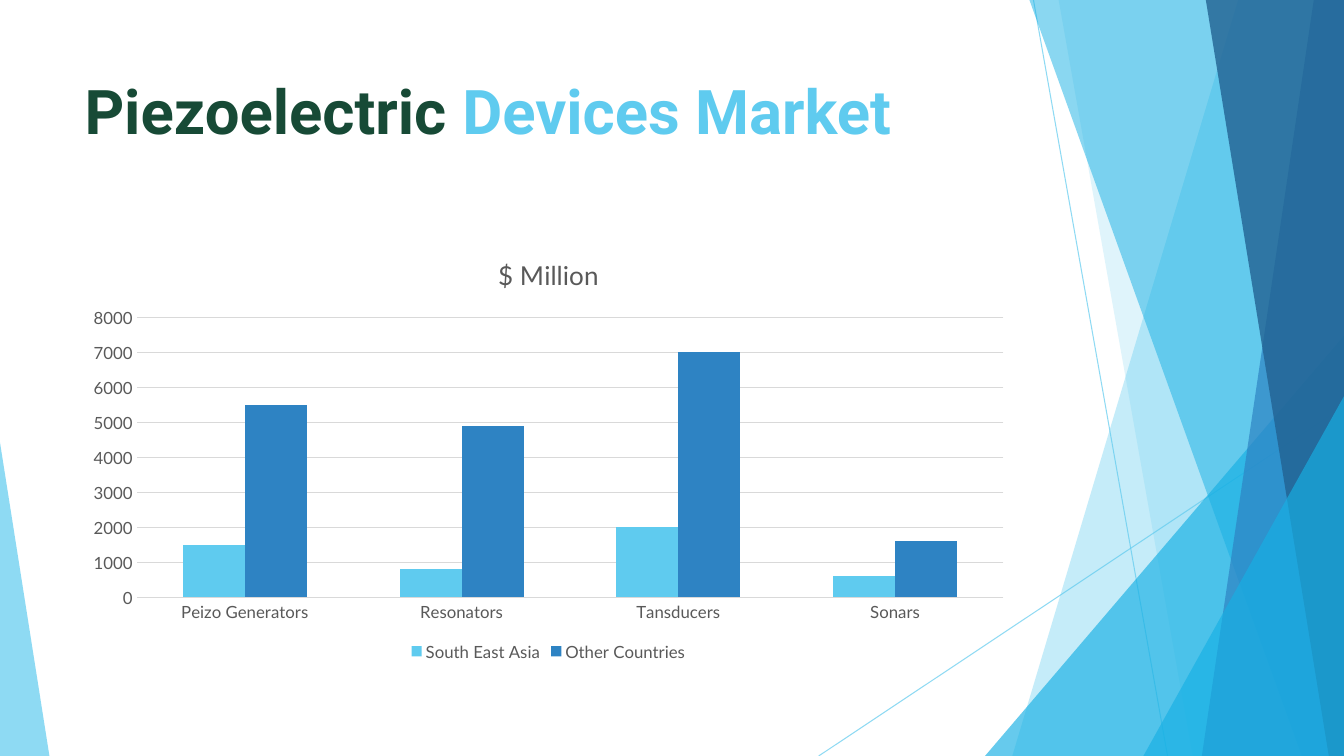
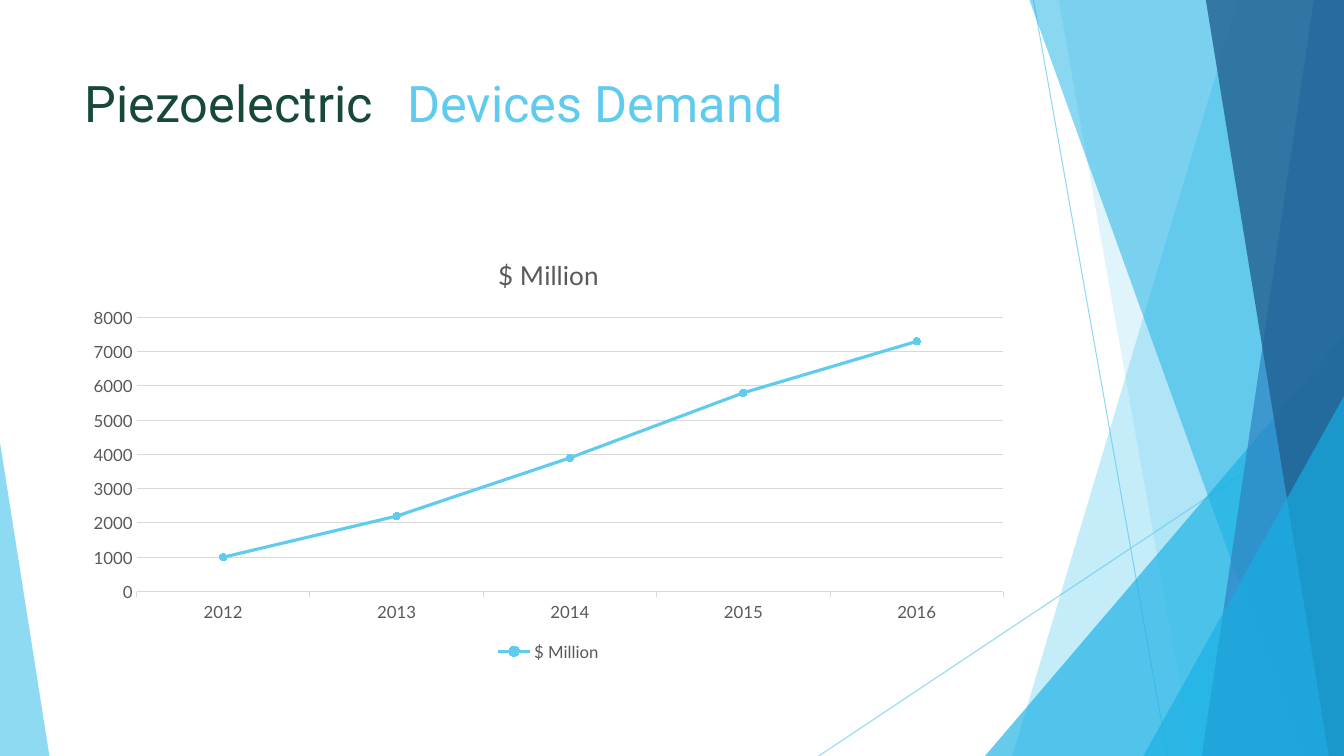
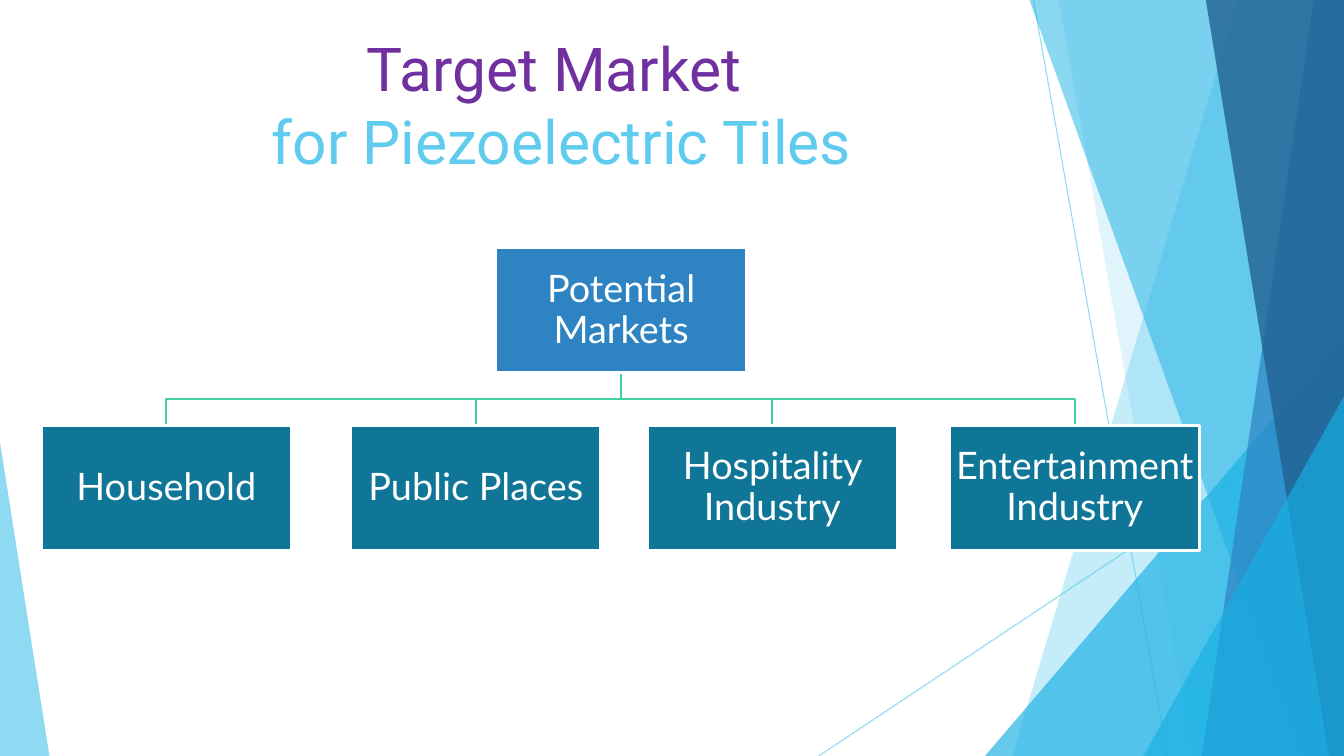
from lxml import etree
from pptx import Presentation
from pptx.chart.data import CategoryChartData
from pptx.dml.color import RGBColor
from pptx.enum import chart as ch, shapes, text
from pptx.oxml.ns import qn
from pptx.util import Inches, Pt

SKY = RGBColor(0x5F, 0xCB, 0xEF)
CYAN = RGBColor(0x17, 0xB0, 0xE4)
BLUE = RGBColor(0x2E, 0x83, 0xC3)
NAVY = RGBColor(0x22, 0x62, 0x92)
TEAL = RGBColor(0x0F, 0x76, 0x98)
MINT = RGBColor(0x42, 0xD0, 0xA2)
GREEN = RGBColor(0x17, 0x4A, 0x36)
PURPLE = RGBColor(0x70, 0x30, 0xA0)
GREY = RGBColor(0x59, 0x59, 0x59)
GRID = RGBColor(0xD9, 0xD9, 0xD9)
WHITE = RGBColor(0xFF, 0xFF, 0xFF)

HEAD_FONT, BODY_FONT = "Roboto", "Lato"
WIDTH, HEIGHT = 13.33, 7.5
CONTENT_LEFT, CONTENT_WIDTH = 0.74, 9.4
BOX_W, BOX_H = 2.48, 1.24


def set_opacity(sp, percent):
    for clr in sp.element.spPr.iter(qn("a:srgbClr")):
        etree.SubElement(clr, qn("a:alpha"), val=str(percent * 1000))


def fill_plain(sp, color, opacity):
    sp.shadow.inherit = False
    sp.fill.solid()
    sp.fill.fore_color.rgb = color
    sp.line.fill.background()
    set_opacity(sp, opacity)


def add_polyline(s, points, close):
    pts = [(Inches(x), Inches(y)) for x, y in points]
    builder = s.shapes.build_freeform(*pts[0])
    builder.add_line_segments(pts[1:], close=close)
    return builder.convert_to_shape()


def add_ray(s, x1, y1, x2, y2):
    line = s.shapes.add_connector(shapes.MSO_CONNECTOR.STRAIGHT,
                                  Inches(x1), Inches(y1), Inches(x2), Inches(y2))
    line.line.color.rgb = SKY
    line.line.width = Pt(0.75)
    set_opacity(line, 70)
    etree.SubElement(line.element.spPr, qn("a:effectLst"))


def add_band(s, top_x, bottom_x, color, opacity):
    """Full-height band from a slanted left edge to the slide's right edge."""
    corners = [(top_x, 0), (WIDTH, 0), (WIDTH, HEIGHT), (bottom_x, HEIGHT)]
    fill_plain(add_polyline(s, corners, True), color, opacity)


def add_corner(s, left, top, width, apex, color, opacity):
    """Right triangle standing on the bottom edge; apex 0 is left, 1 is right."""
    sp = s.shapes.add_shape(shapes.MSO_SHAPE.ISOSCELES_TRIANGLE, Inches(left),
                            Inches(top), Inches(width), Inches(HEIGHT - top))
    sp.adjustments[0] = apex
    fill_plain(sp, color, opacity)


def add_facets(s):
    add_ray(s, 10.25, 0, 11.58, HEIGHT)
    add_ray(s, WIDTH, 4.03, 8.12, HEIGHT)
    add_band(s, 12.28, 10.04, SKY, 36)
    add_band(s, 10.5, 11.83, SKY, 20)
    add_corner(s, 9.77, 3.33, 3.56, 1, CYAN, 66)
    add_band(s, 10.21, 12.91, CYAN, 50)
    add_band(s, 13.03, 11.92, BLUE, 70)
    add_band(s, 11.96, 13.18, NAVY, 80)
    add_corner(s, 11.34, 3.93, 1.99, 1, CYAN, 66)
    add_corner(s, 0, 4.39, 0.49, 0, SKY, 70)


def add_slide(prs):
    s = prs.slides.add_slide(prs.slide_layouts[6])
    add_facets(s)
    return s


def add_title(s, first, second, color, size, box=(CONTENT_LEFT, 0.67, CONTENT_WIDTH, 1.44),
              bold=False, two_lines=False, tab=None):
    """Two-colour title; tab is the stop, in inches, for the second part."""
    tf = s.shapes.add_textbox(*map(Inches, box)).text_frame
    tf.word_wrap = True
    tf.vertical_anchor = text.MSO_ANCHOR.TOP
    p = tf.paragraphs[0]
    p.font.name, p.font.size, p.font.bold = HEAD_FONT, Pt(size), bold
    for part, part_color in ((first, color), (second, SKY)):
        r = p.add_run()
        r.text = part
        r.font.color.rgb = part_color
        if two_lines and part == first:
            p.add_line_break()
    if two_lines:
        p.alignment = text.PP_ALIGN.CENTER
    if tab:
        stops = etree.Element(qn("a:tabLst"))
        etree.SubElement(stops, qn("a:tab"), pos=str(Inches(tab)), algn="l")
        p.font._element.addprevious(stops)


def style_font(font, size):
    font.name, font.size, font.bold = BODY_FONT, Pt(size), False
    font.color.rgb = GREY


def add_chart(s, kind, cats, series):
    data = CategoryChartData()
    data.categories = cats
    for name, vals in series:
        data.add_series(name, vals)
    chart = s.shapes.add_chart(kind, Inches(CONTENT_LEFT), Inches(2.36),
                               Inches(CONTENT_WIDTH), Inches(4.24), data).chart
    style_font(chart.font, 12)
    chart.has_title = True
    tf = chart.chart_title.text_frame
    tf.text = "$ Million"
    style_font(tf.paragraphs[0].font, 18.6)
    chart.has_legend = True
    chart.legend.position = ch.XL_LEGEND_POSITION.BOTTOM
    chart.legend.include_in_layout = False
    style_font(chart.legend.font, 12)
    for axis in (chart.category_axis, chart.value_axis):
        style_font(axis.tick_labels.font, 12)
        axis.major_tick_mark = ch.XL_TICK_MARK.NONE
        axis.format.line.fill.background()
    axis = chart.value_axis
    axis.minimum_scale, axis.maximum_scale, axis.major_unit = 0, 8000, 1000
    axis.major_gridlines.format.line.color.rgb = GRID
    axis.major_gridlines.format.line.width = Pt(0.75)
    chart.plots[0].vary_by_categories = False
    return chart


def add_column_chart(s, cats, series, colors):
    plot = add_chart(s, ch.XL_CHART_TYPE.COLUMN_CLUSTERED, cats, series).plots[0]
    plot.gap_width, plot.overlap = 150, 0
    for ser, color in zip(plot.series, colors):
        ser.format.fill.solid()
        ser.format.fill.fore_color.rgb = color


def add_line_chart(s, cats, series):
    chart = add_chart(s, ch.XL_CHART_TYPE.LINE_MARKERS_STACKED, cats, series)
    axis = chart.category_axis
    axis.major_tick_mark = ch.XL_TICK_MARK.OUTSIDE
    axis.format.line.color.rgb = GRID
    axis.format.line.width = Pt(0.75)
    for ser in chart.plots[0].series:
        ser.smooth = False
        ser.format.line.color.rgb = SKY
        ser.format.line.width = Pt(2.25)
        ser.marker.style, ser.marker.size = ch.XL_MARKER_STYLE.CIRCLE, 5
        ser.marker.format.fill.solid()
        ser.marker.format.fill.fore_color.rgb = SKY
        ser.marker.format.line.color.rgb = SKY


def add_box(s, label, left, top, color):
    sp = s.shapes.add_shape(shapes.MSO_SHAPE.RECTANGLE, Inches(left), Inches(top),
                            Inches(BOX_W), Inches(BOX_H))
    sp.shadow.inherit = False
    sp.fill.solid()
    sp.fill.fore_color.rgb = color
    sp.line.color.rgb = WHITE
    sp.line.width = Pt(2)
    tf = sp.text_frame
    tf.word_wrap = True
    tf.vertical_anchor = text.MSO_ANCHOR.MIDDLE
    tf.margin_left = tf.margin_right = tf.margin_top = tf.margin_bottom = Inches(0.02)
    p = tf.paragraphs[0]
    p.text = label
    p.alignment = text.PP_ALIGN.CENTER
    p.line_spacing = 0.9
    p.font.name, p.font.size = BODY_FONT, Pt(27)
    p.font.color.rgb = WHITE


def add_tree(s, root, root_left, root_top, children, child_top):
    """Root box joined by elbow lines to children given as (label, left)."""
    root_x, root_bottom = root_left + BOX_W / 2, root_top + BOX_H
    middle = (root_bottom + child_top) / 2
    for _, left in children:
        x = left + BOX_W / 2
        elbow = add_polyline(s, [(root_x, root_bottom), (root_x, middle),
                                 (x, middle), (x, child_top)], False)
        elbow.shadow.inherit = False
        elbow.fill.background()
        elbow.line.color.rgb = MINT
        elbow.line.width = Pt(1.5)
    add_box(s, root, root_left, root_top, BLUE)
    for label, left in children:
        add_box(s, label, left, child_top, TEAL)


def main():
    prs = Presentation()
    prs.slide_width, prs.slide_height = Inches(WIDTH), Inches(HEIGHT)

    s = add_slide(prs)
    add_title(s, "Piezoelectric ", "Devices Market", GREEN, 44, bold=True)
    add_column_chart(s, ["Peizo Generators", "Resonators", "Tansducers", "Sonars"],
                     [("South East Asia", (1500, 800, 2000, 600)),
                      ("Other Countries", (5500, 4900, 7000, 1600))], (SKY, BLUE))

    s = add_slide(prs)
    add_title(s, "Piezoelectric\t", "Devices Demand", GREEN, 36, tab=3.2)
    add_line_chart(s, ["2012", "2013", "2014", "2015", "2016"],
                   [("$ Million", (1000, 2200, 3900, 5800, 7300))])

    s = add_slide(prs)
    add_title(s, "Target Market ", "for Piezoelectric Tiles", PURPLE, 43.2,
              box=(-0.18, 0.26, 11.5, 1.45), two_lines=True)
    add_tree(s, "Potential Markets", 4.92, 2.46,
             [("Household", 0.41), ("Public Places", 3.48),
              ("Hospitality Industry", 6.42), ("Entertainment Industry", 9.42)], 4.22)

    prs.save("out.pptx")


if __name__ == "__main__":
    main()
